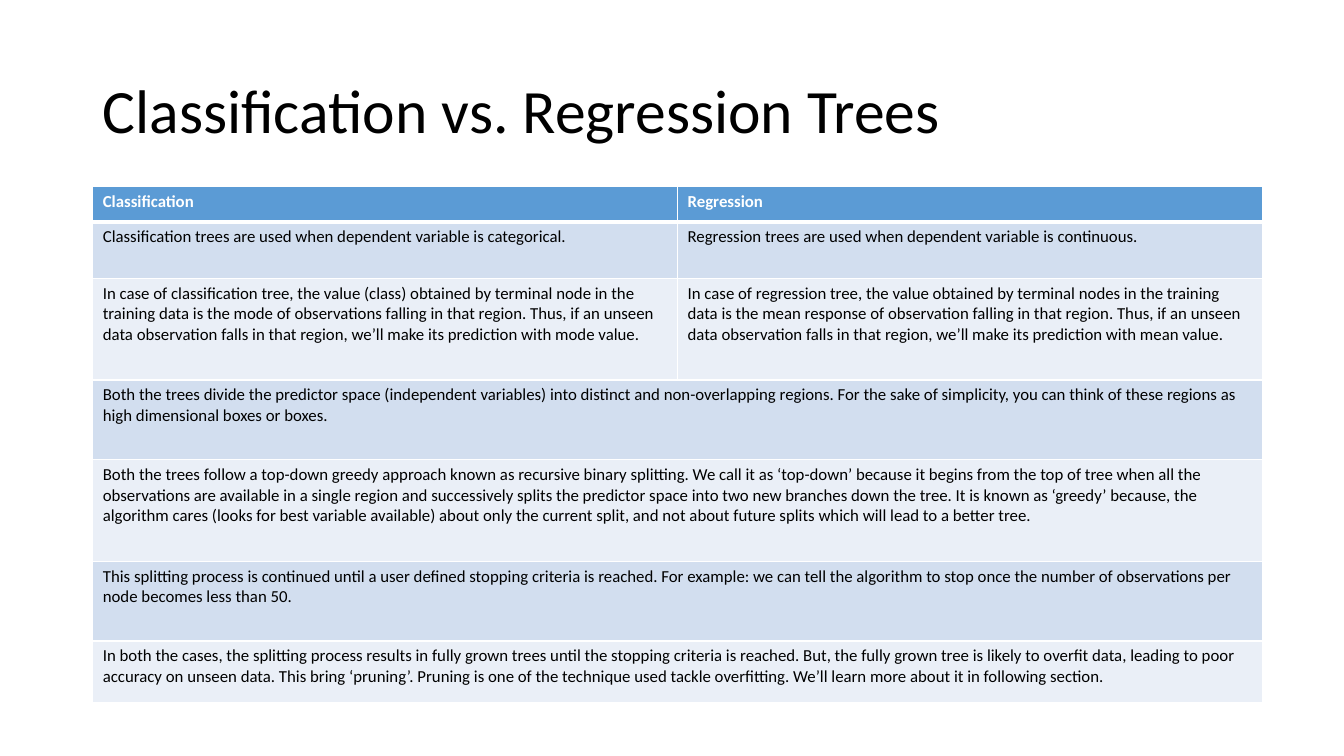
from lxml.etree import SubElement
from pptx import Presentation
from pptx.dml.color import RGBColor as RGB
from pptx.enum.text import MSO_ANCHOR as Anchor
from pptx.oxml.ns import qn
from pptx.util import Inches, Pt

HEADING = "Classification vs. Regression Trees"
COMPARISON = [
    ("Classification", "Regression"),
    ("Classification trees are used when dependent variable is categorical.",
     "Regression trees are used when dependent variable is continuous."),
    ("In case of classification tree, the value (class) obtained by terminal node in the "
     "training data is the mode of observations falling in that region. Thus, if an unseen "
     "data observation falls in that region, we’ll make its prediction with mode value.",
     "In case of regression tree, the value obtained by terminal nodes in the training "
     "data is the mean response of observation falling in that region. Thus, if an unseen "
     "data observation falls in that region, we’ll make its prediction with mean value."),
    ("Both the trees divide the predictor space (independent variables) into distinct and "
     "non-overlapping regions. For the sake of simplicity, you can think of these regions as "
     "high dimensional boxes or boxes.",),
    ("Both the trees follow a top-down greedy approach known as recursive binary splitting. "
     "We call it as ‘top-down’ because it begins from the top of tree when all the "
     "observations are available in a single region and successively splits the predictor "
     "space into two new branches down the tree. It is known as ‘greedy’ because, the "
     "algorithm cares (looks for best variable available) about only the current split, "
     "and not about future splits which will lead to a better tree.",),
    ("This splitting process is continued until a user defined stopping criteria is reached. "
     "For example: we can tell the algorithm to stop once the number of observations per "
     "node becomes less than 50.",),
    ("In both the cases, the splitting process results in fully grown trees until the "
     "stopping criteria is reached. But, the fully grown tree is likely to overfit data, "
     "leading to poor accuracy on unseen data. This bring ‘pruning’. Pruning is one of the "
     "technique used tackle overfitting. We’ll learn more about it in following section.",),
]
ROW_HEIGHTS = [0.35, 0.56, 1.01, 0.79, 1.01, 0.79, 0.61]
COLUMN_WIDTH = 5.8
LEFT, TABLE_TOP = 0.92, 1.85

THEME = {
    "header_fill": "5B9BD5",
    "bands": ("EAEFF7", "D2DEEF"),
    "rule": "FFFFFF",
    "thin": 1,
    "thick": 3,
    "heading": {"name": "Calibri", "size": Pt(44), "color": "000000"},
    "header": {"name": "Calibri", "size": Pt(12), "bold": True, "color": "FFFFFF"},
    "body": {"name": "Calibri", "size": Pt(12), "bold": False, "color": "000000"},
}


def write(frame, words, style):
    paragraph = frame.paragraphs[0]
    run = paragraph.add_run()
    run.text = words
    for key, value in style.items():
        if key == "color":
            run.font.color.rgb = RGB.from_string(value)
        else:
            setattr(run.font, key, value)
    return paragraph


def rule_cell(cell, widths):
    properties = cell._tc.get_or_add_tcPr()
    for side, points in widths.items():
        line = SubElement(properties, qn(f"a:ln{side}"), w=str(Pt(points)))
        SubElement(SubElement(line, qn("a:solidFill")), qn("a:srgbClr"), val=THEME["rule"])


def add_heading(slide):
    frame = slide.shapes.add_textbox(
        Inches(LEFT), Inches(0.4), Inches(11.5), Inches(1.45)).text_frame
    frame.word_wrap = True
    frame.vertical_anchor = Anchor.MIDDLE
    write(frame, HEADING, THEME["heading"]).line_spacing = 0.9


def add_comparison(slide):
    column_count = len(COMPARISON[0])
    table = slide.shapes.add_table(
        len(COMPARISON), column_count, Inches(LEFT), Inches(TABLE_TOP),
        Inches(COLUMN_WIDTH * column_count), Inches(sum(ROW_HEIGHTS))).table
    for column in table.columns:
        column.width = Inches(COLUMN_WIDTH)
    for index, (entries, height) in enumerate(zip(COMPARISON, ROW_HEIGHTS)):
        table.rows[index].height = Inches(height)
        is_header = index == 0
        fill = THEME["header_fill"] if is_header else THEME["bands"][index % 2]
        widths = dict.fromkeys("LRTB", THEME["thin"])
        if index < 2:
            widths["B" if is_header else "T"] = THEME["thick"]
        for cell in table.rows[index].cells:
            rule_cell(cell, widths)
            cell.fill.solid()
            cell.fill.fore_color.rgb = RGB.from_string(fill)
        if len(entries) < column_count:
            table.cell(index, 0).merge(table.cell(index, column_count - 1))
        for position, words in enumerate(entries):
            write(table.cell(index, position).text_frame, words,
                  THEME["header" if is_header else "body"])


def main():
    deck = Presentation()
    deck.slide_width, deck.slide_height = Inches(13.33), Inches(7.5)
    slide = deck.slides.add_slide(deck.slide_layouts[6])
    add_heading(slide)
    add_comparison(slide)
    deck.save("out.pptx")


if __name__ == "__main__":
    main()
